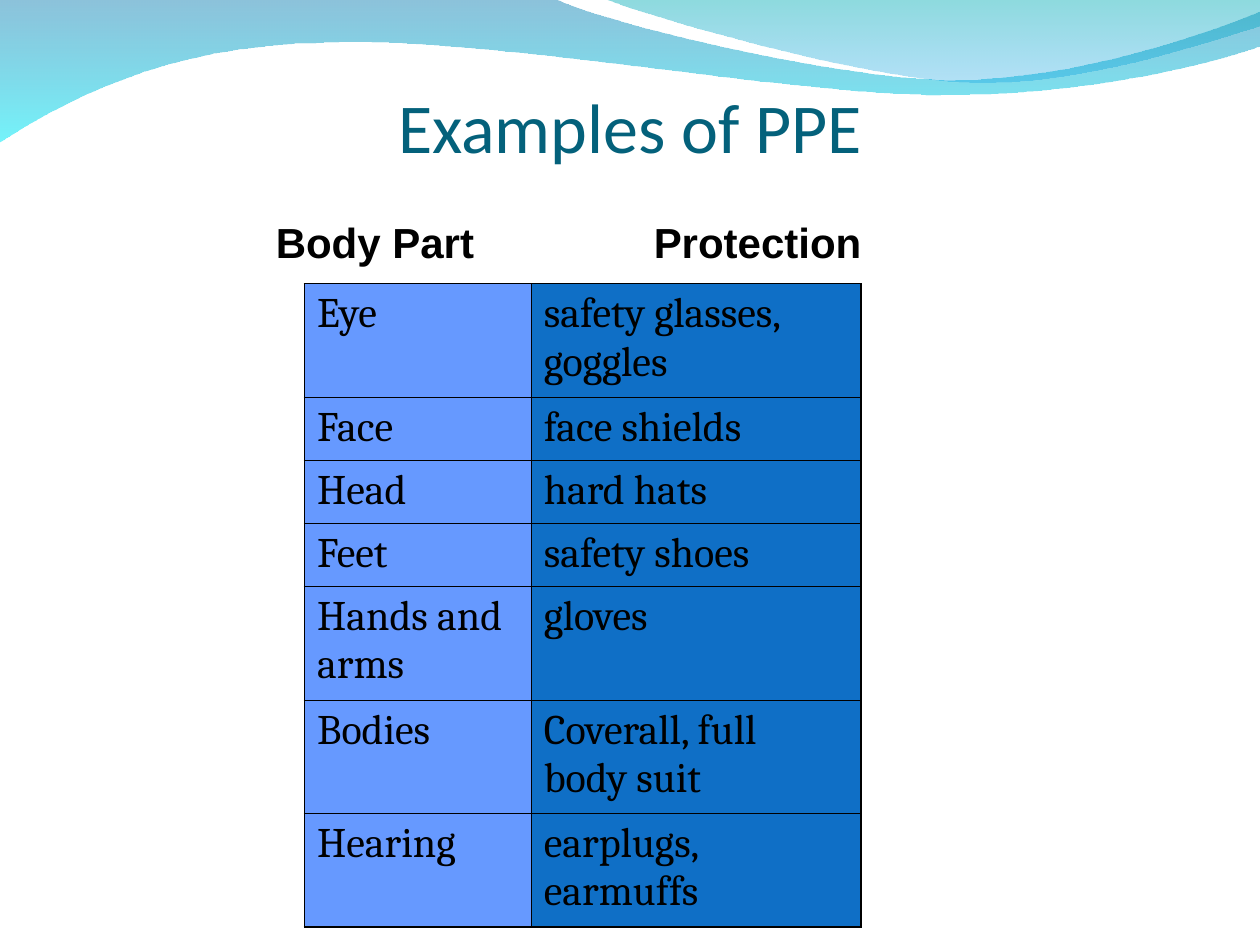
from dataclasses import dataclass

from lxml import etree
from pptx import Presentation
from pptx.dml.color import RGBColor
from pptx.enum import text
from pptx.oxml import parse_xml
from pptx.oxml.ns import nsdecls, qn
from pptx.util import Cm, Pt


@dataclass(frozen=True)
class Theme:
    title: str = "04617B"
    ink: str = "000000"
    part_fill: str = "6699FF"
    protection_fill: str = "0F6FC6"
    title_size: float = 40
    body_size: float = 24
    title_font: str = "Calibri"
    heading_font: str = "Arial"
    body_font: str = "Cambria"
    outer_line: float = 1.08
    inner_line: float = 0.45
    back_wave: tuple = (("0079AF", 45), ("00EBF8", 55))
    front_wave: tuple = (("00ADB6", 45), ("009BE5", 30))


THEME = Theme()

BACK_WAVE = [
    [(0, -0.03)],
    [(11.18, -0.03)],
    [(12.09, 0.43), (16.87, 1.6), (19.25, 1.6)],
    [(21.67, 1.6), (24.33, 0.66), (25.4, 0.23)],
    [(25.43, 0.91)],
    [(24.97, 1.12), (22.1, 1.93), (18.95, 1.91)],
    [(15.8, 1.91), (9.7, 0.71), (6.53, 0.86)],
    [(3.28, 0.89), (1.17, 2.11), (-0.03, 2.87)],
    [(0, -0.03)],
]
FRONT_WAVE = [
    [(12.17, -0.03)],
    [(12.93, 0.28), (17.32, 1.57), (19.53, 1.65)],
    [(21.74, 1.75), (24.41, 0.81), (25.4, 0.53)],
    [(25.4, 0)],
    [(12.17, -0.03)],
]

EXAMPLES = [
    ("Eye", "safety glasses, goggles", 2.29),
    ("Face", "face shields", 1.27),
    ("Head", "hard hats", 1.27),
    ("Feet", "safety shoes", 1.27),
    ("Hands and arms", "gloves", 2.29),
    ("Bodies", "Coverall, full body suit", 2.29),
    ("Hearing", "earplugs, earmuffs", 2.29),
]


def write(tf, content, font=THEME.body_font, size=THEME.body_size, color=THEME.ink,
          bold=False, align=text.PP_ALIGN.LEFT, before=0):
    p = tf.paragraphs[0]
    p.alignment = align
    p.space_before = Pt(before)
    r = p.add_run()
    r.text = content
    r.font.name = font
    r.font.size = Pt(size)
    r.font.bold = bold
    r.font.color.rgb = RGBColor.from_string(color)
    return p


def bend_lines(sp, segments):
    lines = iter(list(sp._element.iter(qn("a:lnTo"))))
    for segment in segments:
        group = [next(lines) for _ in segment]
        if len(group) == 3:
            curve = etree.Element(qn("a:cubicBezTo"))
            group[0].addprevious(curve)
            for line in group:
                curve.append(line[0])
                line.getparent().remove(line)


def add_wave(s, segments, colors):
    start, *rest = [(Cm(x), Cm(y)) for segment in segments for x, y in segment]
    builder = s.shapes.build_freeform(*start)
    builder.add_line_segments(rest, close=True)
    sp = builder.convert_to_shape()
    bend_lines(sp, segments[1:])
    sp.shadow.inherit = False
    sp.line.fill.background()
    stops = "".join(
        f'<a:gs pos="{i * 100000}"><a:srgbClr val="{color}">'
        f'<a:alpha val="{opacity * 1000}"/></a:srgbClr></a:gs>'
        for i, (color, opacity) in enumerate(colors))
    gradient = parse_xml(f'<a:gradFill {nsdecls("a")} rotWithShape="1"><a:gsLst>{stops}</a:gsLst>'
                         '<a:lin ang="5400000" scaled="0"/></a:gradFill>')
    sp._element.spPr.find(qn("a:custGeom")).addnext(gradient)


def add_title(s, content):
    sp = s.shapes.title
    sp.left, sp.top, sp.width, sp.height = Cm(1.27), Cm(0.2), Cm(22.86), Cm(3.18)
    tf = sp.text_frame
    tf.auto_size = text.MSO_AUTO_SIZE.NONE
    tf.vertical_anchor = text.MSO_ANCHOR.BOTTOM
    tf.margin_left = tf.margin_right = tf.margin_bottom = 0
    tf.margin_top = Cm(0.13)
    write(tf, content, font=THEME.title_font, size=THEME.title_size, color=THEME.title,
          align=text.PP_ALIGN.CENTER)
    s.shapes._spTree.append(sp._element)


def set_borders(cell, outer_sides):
    tcPr = cell._tc.get_or_add_tcPr()
    for side in "LRTB":
        width = THEME.outer_line if side in outer_sides else THEME.inner_line
        ln = etree.SubElement(tcPr, qn(f"a:ln{side}"), w=str(Pt(width)))
        fill = etree.SubElement(ln, qn("a:solidFill"))
        etree.SubElement(fill, qn("a:srgbClr"), val=THEME.ink)


def add_examples(s):
    widths = (4.57, 6.65)
    fills = (THEME.part_fill, THEME.protection_fill)
    height = sum(row[2] for row in EXAMPLES)
    table = s.shapes.add_table(len(EXAMPLES), 2, Cm(6.14), Cm(5.72),
                               Cm(sum(widths)), Cm(height)).table
    table.first_row = table.horz_banding = False
    for column, width in zip(table.columns, widths):
        column.width = Cm(width)
    for i, (part, protection, row_height) in enumerate(EXAMPLES):
        table.rows[i].height = Cm(row_height)
        for j, content in enumerate((part, protection)):
            cell = table.cell(i, j)
            set_borders(cell, "LR"[j] + ("B" if i == len(EXAMPLES) - 1 else ""))
            cell.fill.solid()
            cell.fill.fore_color.rgb = RGBColor.from_string(fills[j])
            write(cell.text_frame, content, before=6)


def add_headings(s, content):
    sp = s.shapes.add_textbox(Cm(5.31), Cm(4.24), Cm(12.32), Cm(1.27))
    tf = sp.text_frame
    tf.word_wrap = False
    tf.auto_size = text.MSO_AUTO_SIZE.SHAPE_TO_FIT_TEXT
    p = write(tf, content, font=THEME.heading_font, bold=True)
    tabs = etree.SubElement(p._p.get_or_add_pPr(), qn("a:tabLst"))
    for i in range(8):
        etree.SubElement(tabs, qn("a:tab"), pos=str(Cm(2.54 * i)), algn="l")


def main():
    prs = Presentation()
    prs.slide_width, prs.slide_height = Cm(25.4), Cm(19.05)
    s = prs.slides.add_slide(prs.slide_layouts[5])
    add_wave(s, BACK_WAVE, THEME.back_wave)
    add_wave(s, FRONT_WAVE, THEME.front_wave)
    add_title(s, "Examples of PPE")
    add_examples(s)
    add_headings(s, "Body Part\t\tProtection")
    prs.save("out.pptx")


if __name__ == "__main__":
    main()
